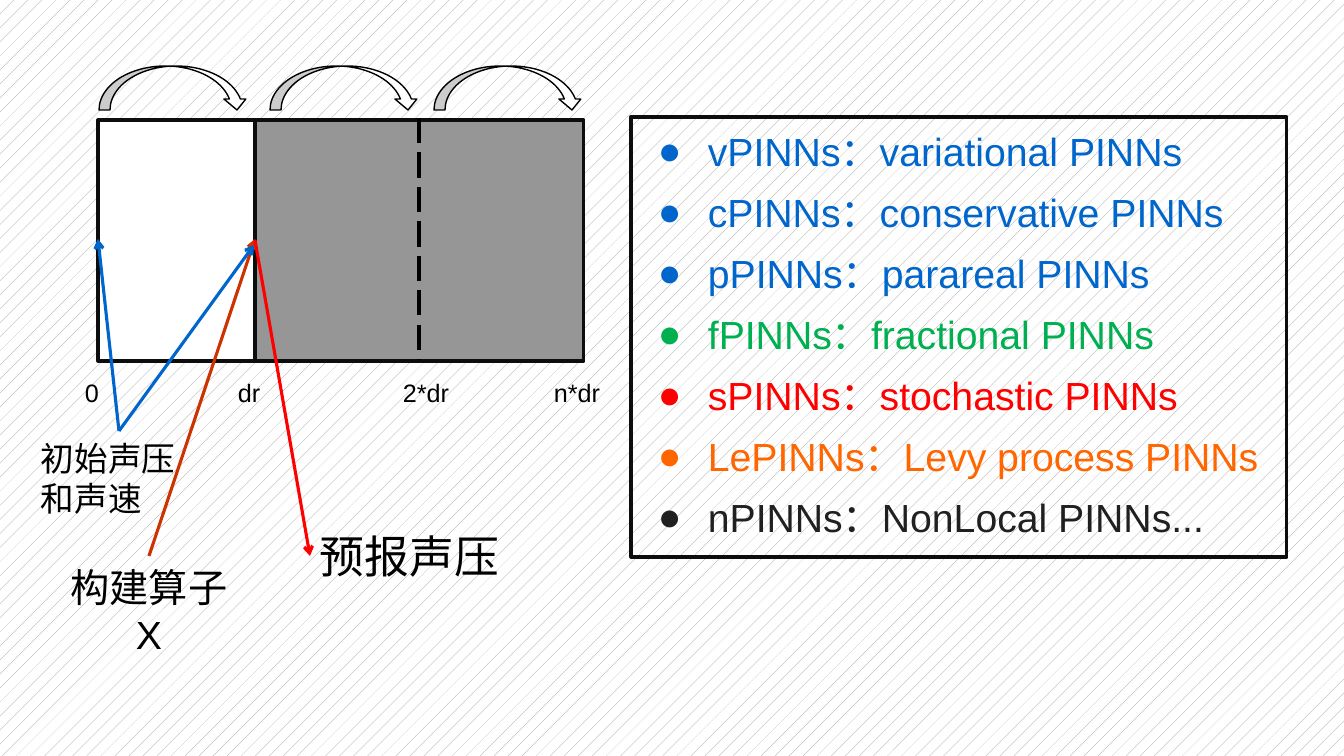
from lxml.etree import SubElement
from pptx import Presentation
from pptx.dml.color import RGBColor
from pptx.enum.dml import MSO_LINE, MSO_PATTERN
from pptx.enum.shapes import MSO_CONNECTOR, MSO_SHAPE
from pptx.enum.text import MSO_ANCHOR, MSO_AUTO_SIZE, PP_ALIGN
from pptx.oxml.ns import qn
from pptx.util import Emu, Pt

EMU_PER_PX = 12192000 / 1344
BLUE, RED, BLACK, OUTLINE, GREY = "0066CC", "FF0000", "000000", "0D0D0D", "969696"
DOMAIN_TOP, DOMAIN_WIDTH, DOMAIN_HEIGHT = 120, 329, 241
VARIANTS = [
    ("vPINNs：variational PINNs", BLUE),
    ("cPINNs：conservative PINNs", BLUE),
    ("pPINNs：parareal PINNs", BLUE),
    ("fPINNs：fractional PINNs", "00B050"),
    ("sPINNs：stochastic PINNs", RED),
    ("LePINNs：Levy process PINNs", "FF6600"),
    ("nPINNs：NonLocal PINNs...", "202020"),
]


def px(length):
    """Turn a length in px into EMU."""
    return Emu(round(length * EMU_PER_PX))


def rgb(value):
    """Turn a hex string into a colour."""
    return RGBColor.from_string(value)


def set_font(para, size, color):
    """Set the font of a whole paragraph."""
    para.font.name = "Arial"
    para.font.size = Pt(size)
    para.font.color.rgb = rgb(color)


def add_outlined(page, kind, left, top, width, height, fill, color=OUTLINE, weight=2.25):
    """Add a preset shape with an outline, unfilled when fill is None."""
    shape = page.shapes.add_shape(kind, px(left), px(top), px(width), px(height))
    shape.shadow.inherit = False
    if fill is None:
        shape.fill.background()
    else:
        shape.fill.solid()
        shape.fill.fore_color.rgb = rgb(fill)
    shape.line.color.rgb = rgb(color)
    shape.line.width = Pt(weight)
    return shape


def add_line(page, start, end, color):
    """Add a straight line between two points."""
    line = page.shapes.add_connector(
        MSO_CONNECTOR.STRAIGHT, px(start[0]), px(start[1]), px(end[0]), px(end[1]))
    line.line.color.rgb = rgb(color)
    line.line.width = Pt(2.25)
    SubElement(line._element.spPr, qn("a:effectLst"))
    return line


def add_arrow(page, start, end, color):
    """Add a line with an open arrowhead at its end."""
    arrow = add_line(page, start, end, color)
    SubElement(arrow.line._get_or_add_ln(), qn("a:tailEnd"), type="arrow")


def add_label(page, text, left, top, width, height, size, align=PP_ALIGN.LEFT):
    """Add a black label that grows with its text."""
    box = page.shapes.add_textbox(px(left), px(top), px(width), px(height))
    frame = box.text_frame
    frame.word_wrap = True
    frame.auto_size = MSO_AUTO_SIZE.SHAPE_TO_FIT_TEXT
    para = frame.paragraphs[0]
    para.text = text
    para.alignment = align
    set_font(para, size, BLACK)


def add_variant_list(page, left, top, width, height):
    """Add the framed, bulleted list of PINN variants."""
    panel = add_outlined(page, MSO_SHAPE.RECTANGLE, left, top, width, height, None)
    frame = panel.text_frame
    frame.word_wrap = True
    frame.vertical_anchor = MSO_ANCHOR.TOP
    frame.margin_left = frame.margin_top = frame.margin_bottom = px(10)
    frame.margin_right = px(5)
    for index, (text, color) in enumerate(VARIANTS):
        para = frame.add_paragraph() if index else frame.paragraphs[0]
        para.text = text
        properties = para._p.get_or_add_pPr()
        properties.set("marL", str(px(67)))
        properties.set("indent", str(px(-50)))
        SubElement(properties, qn("a:buFont"), typeface="Arial")
        SubElement(properties, qn("a:buChar"), char="●")
        para.alignment = PP_ALIGN.LEFT
        if index:
            para.space_before = Pt(10)
        set_font(para, 28, color)


def add_marching_domain(page):
    """Add the stepped domain with its range labels and step arrows."""
    for left, fill in ((98, "FFFFFF"), (255, GREY)):
        add_outlined(page, MSO_SHAPE.RECTANGLE, left, DOMAIN_TOP,
                     DOMAIN_WIDTH, DOMAIN_HEIGHT, fill)
    divider = add_line(page, (419, 118), (419, 360), BLACK)
    divider.line.dash_style = MSO_LINE.LONG_DASH
    for left in (99, 270, 434):
        add_outlined(page, MSO_SHAPE.CURVED_DOWN_ARROW, left, 66, 149, 44,
                     "FFFFFF", BLACK, 1)
    for text, left, width in (("0", 75, 42), ("dr", 228, 52),
                              ("2*dr", 393, 87), ("n*dr", 544, 87)):
        add_label(page, text, left, 372, width, 40, 18)


def main():
    """Build the slide and save it."""
    deck = Presentation()
    deck.slide_width, deck.slide_height = px(1344), px(756)
    page = deck.slides.add_slide(deck.slide_layouts[6])
    backdrop = page.background.fill
    backdrop.patterned()
    backdrop.pattern = MSO_PATTERN.PERCENT_5
    backdrop.fore_color.rgb = rgb(GREY)
    backdrop.back_color.rgb = rgb("FFFFFF")

    add_marching_domain(page)
    add_label(page, "初始声压和声速", 31, 433, 174, 92, 24)
    add_label(page, "构建算子X", 49, 558, 200, 57, 28, PP_ALIGN.CENTER)
    add_arrow(page, (119, 431), (98, 239), BLUE)
    add_arrow(page, (149, 556), (255, 239), "CC3300")
    add_arrow(page, (255, 240), (310, 556), RED)
    add_label(page, "预报声压", 310, 524, 235, 65, 32)
    add_arrow(page, (119, 431), (254, 245), BLUE)
    add_variant_list(page, 631, 117, 656, 440)
    deck.save("out.pptx")


if __name__ == "__main__":
    main()
